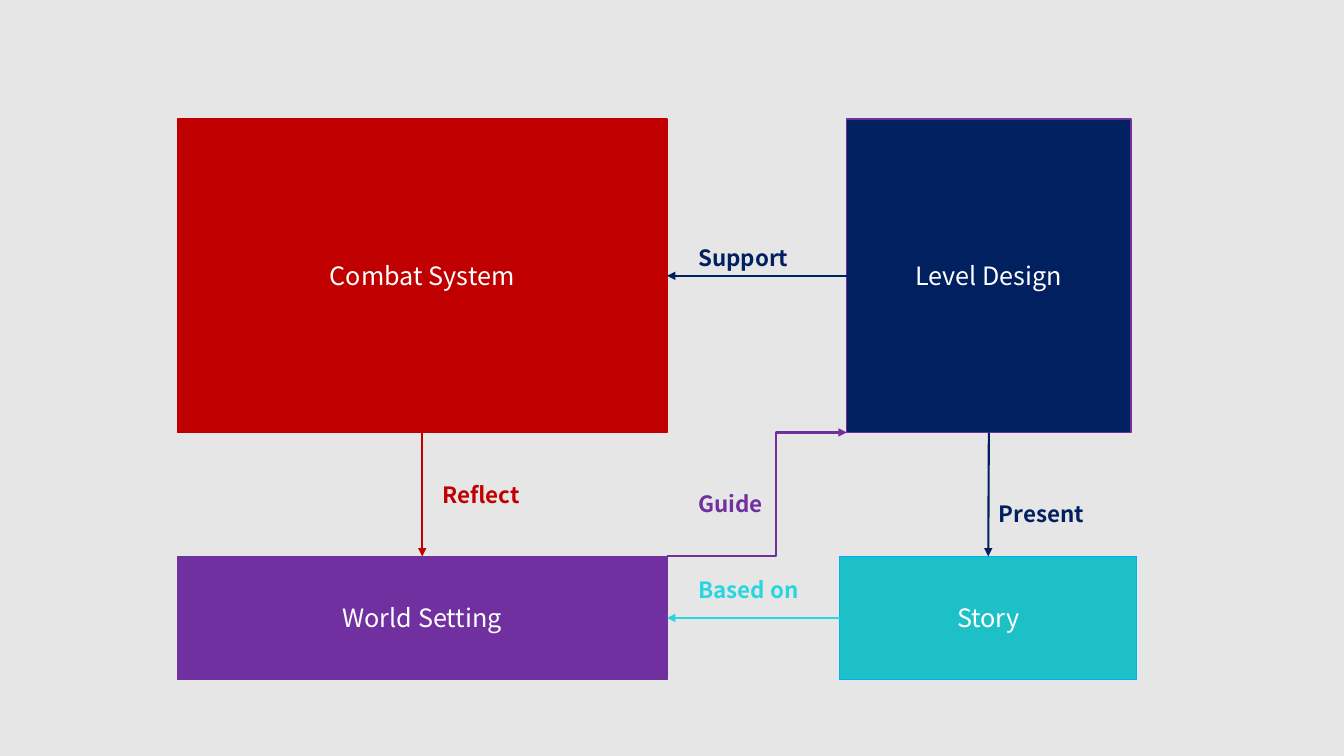
"""Build a slide showing how four game design areas relate to each other."""
from lxml.etree import SubElement
from pptx import Presentation
from pptx.dml.color import RGBColor
from pptx.enum.shapes import MSO_CONNECTOR, MSO_SHAPE
from pptx.enum.text import MSO_ANCHOR, PP_ALIGN
from pptx.oxml.ns import qn
from pptx.util import Cm, Pt

FONT = "Noto Sans CJK SC"
COLORS = {
    "background": "E7E6E6", "white": "FFFFFF", "red": "C00000", "purple": "7030A0",
    "navy": "002060", "teal": "1EC0C8", "sky": "00B0F0", "aqua": "29D6DF",
}
TOP, BOTTOM, LEFT, RIGHT = 0, 2, 1, 3
ROWS = {"upper": (3, 7.9), "lower": (14.02, 3.1)}
AREAS = [
    ("Combat System", "upper", 4.47, 12.34, "red", "red"),
    ("World Setting", "lower", 4.47, 12.34, "purple", "purple"),
    ("Level Design", "upper", 21.34, 7.16, "navy", "purple"),
    ("Story", "lower", 21.16, 7.49, "teal", "sky"),
]
RELATIONS = [
    ("Support", "Level Design", LEFT, "Combat System", RIGHT, "navy", 17.35, 6.02),
    ("Reflect", "Combat System", BOTTOM, "World Setting", TOP, "red", 10.9, 11.99),
    ("Present", "Level Design", BOTTOM, "Story", TOP, "navy", 24.92, 12.47),
    ("Based on", "Story", LEFT, "World Setting", RIGHT, "aqua", 17.35, 14.4),
]
GUIDE = ("Guide", "World Setting", "Level Design", "purple", 17.35, 12.22)
GUIDE_BEND = 60400
LABEL_SIZE = (3.05, 0.94)


def color(name):
    return RGBColor.from_string(COLORS[name])


def write(frame, text, size, ink, bold=False):
    frame.text = text
    font = frame.paragraphs[0].runs[0].font
    font.name, font.size, font.bold = FONT, Pt(size), bold
    font.color.rgb = color(ink)


def add_area(slide, name, row, left, width, fill, outline):
    top, height = ROWS[row]
    area = slide.shapes.add_shape(
        MSO_SHAPE.RECTANGLE, Cm(left), Cm(top), Cm(width), Cm(height))
    area.shadow.inherit = False
    area.fill.solid()
    area.fill.fore_color.rgb = color(fill)
    area.line.color.rgb = color(outline)
    area.line.width = Pt(1)
    write(area.text_frame, name, 18, "white")
    area.text_frame.vertical_anchor = MSO_ANCHOR.MIDDLE
    area.text_frame.paragraphs[0].alignment = PP_ALIGN.CENTER
    return area


def add_arrow(slide, kind, ink, ends=(0, 0, 0, 0)):
    arrow = slide.shapes.add_connector(kind, *ends)
    arrow.line.color.rgb = color(ink)
    arrow.line.width = Pt(1.5)
    properties = arrow._element.spPr
    SubElement(properties.find(qn("a:ln")), qn("a:tailEnd"), type="triangle")
    SubElement(properties, qn("a:effectLst"))
    return arrow


def add_label(slide, text, ink, left, top):
    label = slide.shapes.add_textbox(Cm(left), Cm(top), *map(Cm, LABEL_SIZE))
    label.text_frame.word_wrap = True
    write(label.text_frame, text, 16, ink, bold=True)


def main():
    deck = Presentation()
    deck.slide_width, deck.slide_height = Cm(33.87), Cm(19.05)
    slide = deck.slides.add_slide(deck.slide_layouts[6])
    slide.background.fill.solid()
    slide.background.fill.fore_color.rgb = color("background")

    areas = {area[0]: add_area(slide, *area) for area in AREAS}

    for text, source, source_side, target, target_side, ink, left, top in RELATIONS:
        arrow = add_arrow(slide, MSO_CONNECTOR.STRAIGHT, ink)
        arrow.begin_connect(areas[source], source_side)
        arrow.end_connect(areas[target], target_side)
        add_label(slide, text, ink, left, top)

    text, source, target, ink, left, top = GUIDE
    start, finish = areas[source], areas[target]
    corners = (start.left + start.width, start.top,
               finish.left, finish.top + finish.height)
    guide = add_arrow(slide, MSO_CONNECTOR.ELBOW, ink, corners)
    bends = guide._element.spPr.find(qn("a:prstGeom")).get_or_add_avLst()
    SubElement(bends, qn("a:gd"), name="adj1", fmla=f"val {GUIDE_BEND}")
    add_label(slide, text, ink, left, top)

    deck.save("out.pptx")


if __name__ == "__main__":
    main()
